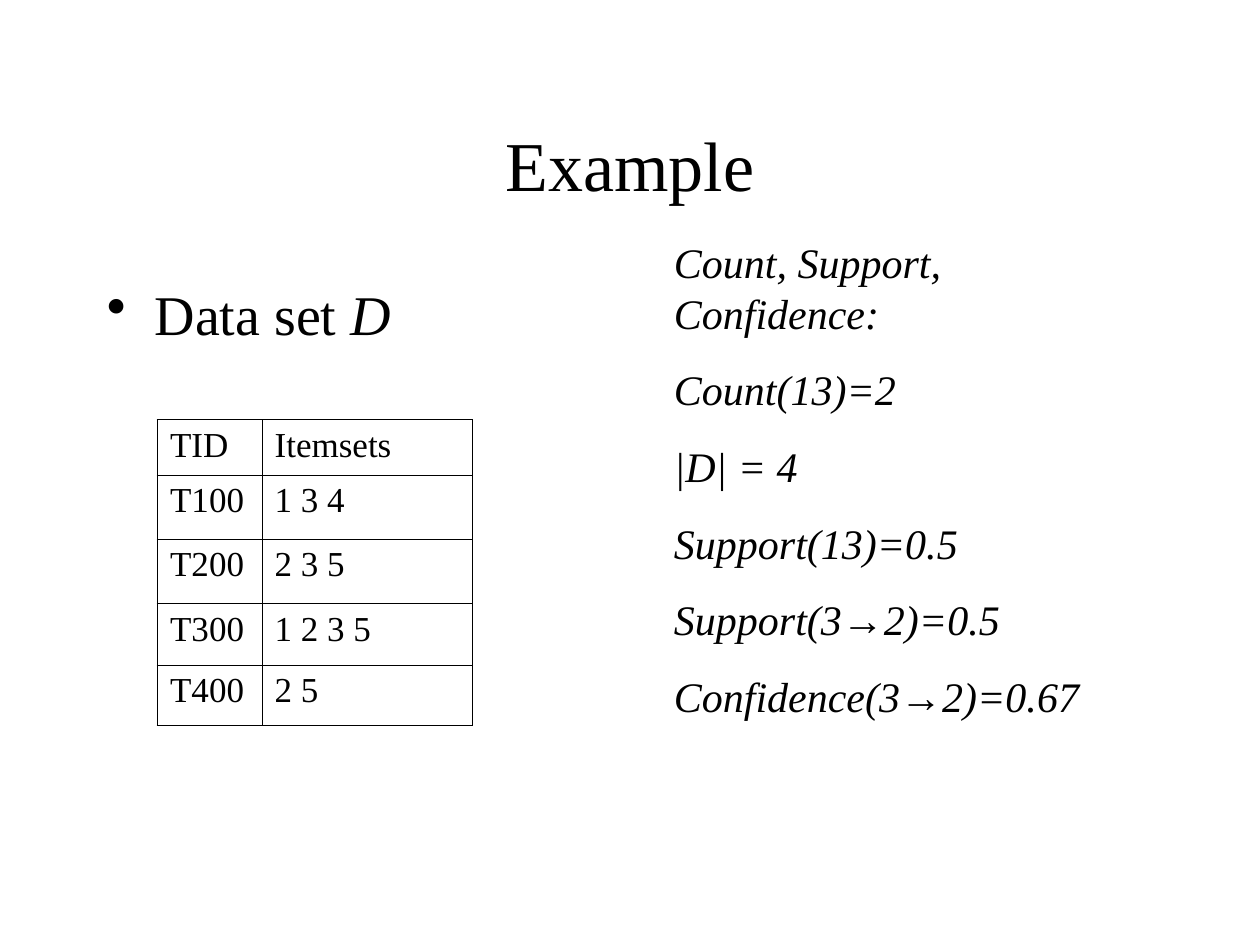
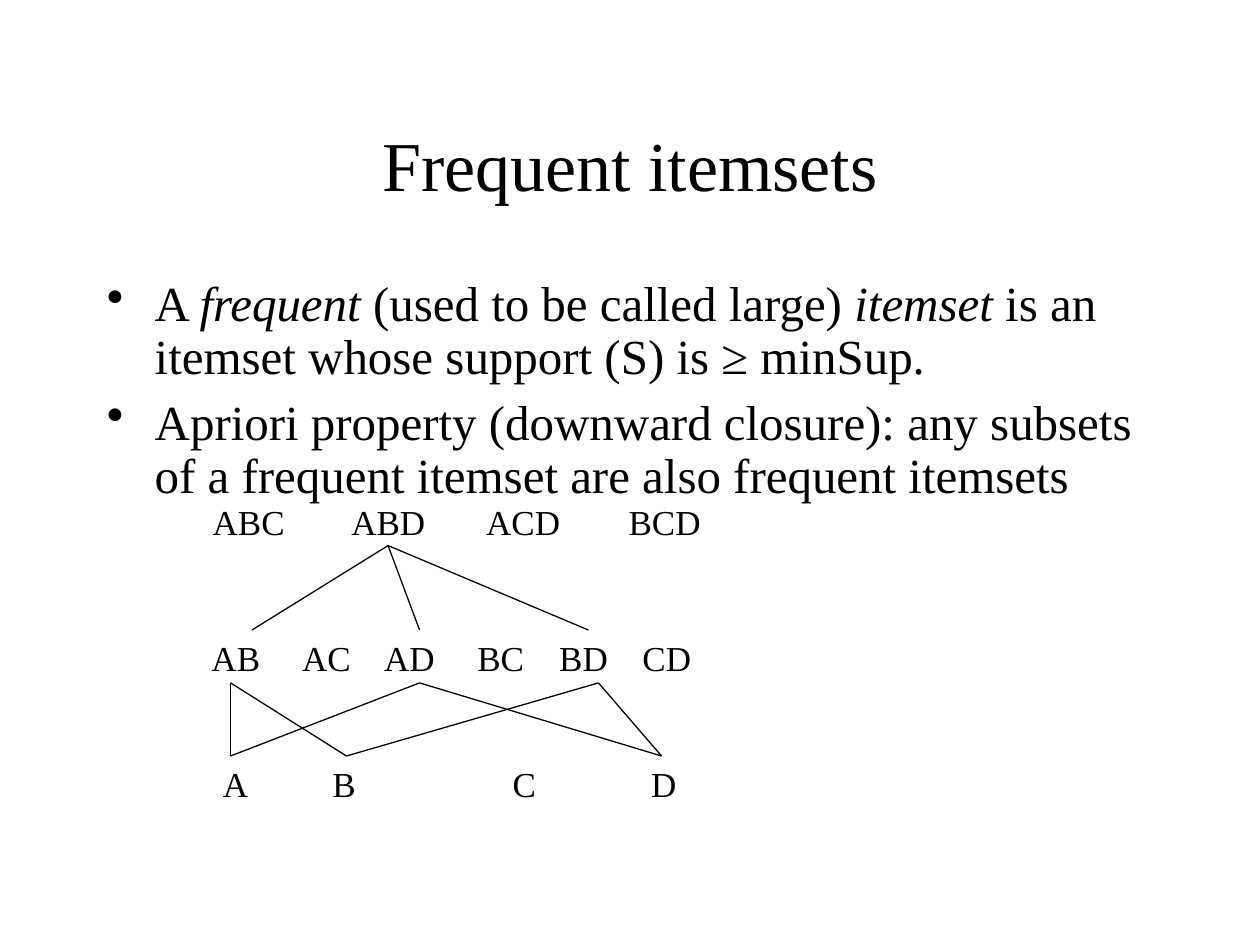
import pptx
import pptx.dml.color
import pptx.enum.shapes
import pptx.enum.text
import pptx.oxml
import pptx.oxml.ns
import pptx.util
from lxml import etree
from pptx.util import Inches, Pt

# Shared style
BLACK = "000000"
SERIF = "Times New Roman"
ARROW_FONT = "Arial"
TITLE_SIZE = 40
LABEL_SIZE = 20
DRAWING_NS = pptx.oxml.ns.nsdecls("a")


def color(hex_string):
    return pptx.dml.color.RGBColor.from_string(hex_string)


def add_text(slide, box, paragraphs, size, before=0, spacing=None,
             italic=False, bullet=False, tabs=()):
    """Add a text box; each paragraph is a list of (text, style) runs."""
    shape = slide.shapes.add_textbox(*map(Inches, box))
    frame = shape.text_frame
    frame.word_wrap = True
    for index, runs in enumerate(paragraphs):
        paragraph = frame.paragraphs[0] if index == 0 else frame.add_paragraph()
        properties = paragraph._p.get_or_add_pPr()
        if bullet:
            properties.set("marL", str(Inches(0.38)))
            properties.set("indent", str(Inches(-0.38)))
            properties.append(pptx.oxml.parse_xml(f'<a:buChar {DRAWING_NS} char="•"/>'))
        if tabs:
            stops = etree.SubElement(properties, pptx.oxml.ns.qn("a:tabLst"))
            for stop in tabs:
                etree.SubElement(stops, pptx.oxml.ns.qn("a:tab"),
                                 pos=str(Inches(stop)), algn="l")
        paragraph.space_before = Pt(before)
        paragraph.line_spacing = spacing
        paragraph.font.name = SERIF
        paragraph.font.size = Pt(size)
        paragraph.font.italic = italic
        paragraph.font.color.rgb = color(BLACK)
        for text, style in runs:
            run = paragraph.add_run()
            run.text = text
            if style == "italic":
                run.font.italic = True
            elif style == "arrow":
                run.font.name = ARROW_FONT


presentation = pptx.Presentation()
presentation.slide_width = Inches(10)
presentation.slide_height = Inches(7.5)

# Slides and titles
slides = []
for title_text in ("Example", "Frequent itemsets"):
    slide = presentation.slides.add_slide(presentation.slide_layouts[5])
    title = slide.shapes.title
    title.left, title.top = Inches(0.75), Inches(0.67)
    title.width, title.height = Inches(8.5), Inches(1.25)
    title.text_frame.text = title_text
    title.text_frame.vertical_anchor = pptx.enum.text.MSO_ANCHOR.MIDDLE
    paragraph = title.text_frame.paragraphs[0]
    paragraph.alignment = pptx.enum.text.PP_ALIGN.CENTER
    paragraph.font.name = SERIF
    paragraph.font.size = Pt(TITLE_SIZE)
    paragraph.font.color.rgb = color(BLACK)
    slides.append(slide)
example_slide, itemsets_slide = slides

# Example: data set heading and measures
add_text(example_slide, (0.75, 2.17, 8.5, 4.5),
         [[("Data set ", None), ("D", "italic")]], 32, before=8, bullet=True)
measures = [
    [("Count, Support, Confidence:", None)],
    [("Count(13)=2", None)],
    [("|D| = 4", None)],
    [("Support(13)=0.5", None)],
    [("Support(3", None), ("→", "arrow"), ("2)=0.5", None)],
    [("Confidence(3", None), ("→", "arrow"), ("2)=0.67", None)],
]
add_text(example_slide, (5.25, 1.83, 3.58, 3.94), measures, 24, before=15, italic=True)

# Example: transaction table
transactions = [("TID", "Itemsets"), ("T100", "1 3 4"), ("T200", "2 3 5"),
                ("T300", "1 2 3 5"), ("T400", "2 5")]
row_heights = (0.44, 0.51, 0.51, 0.49, 0.48)
table = example_slide.shapes.add_table(
    len(transactions), 2, Inches(1.25), Inches(3.33), Inches(2.5), Inches(2.43)).table
table.first_row = False
table.horz_banding = False
for column, width in zip(table.columns, (0.83, 1.67)):
    column.width = Inches(width)
for row_index, values in enumerate(transactions):
    table.rows[row_index].height = Inches(row_heights[row_index])
    for column_index, value in enumerate(values):
        cell = table.cell(row_index, column_index)
        cell.text = value
        paragraph = cell.text_frame.paragraphs[0]
        paragraph.space_before = Pt(5)
        paragraph.font.name = SERIF
        paragraph.font.size = Pt(LABEL_SIZE)
        paragraph.font.color.rgb = color(BLACK)
        # Thin rules inside and on top, heavier on the other outer edges
        heavy_sides = {"L": column_index == 0, "R": column_index == 1, "T": False,
                       "B": row_index == len(transactions) - 1}
        cell_properties = cell._tc.get_or_add_tcPr()
        for side, heavy in heavy_sides.items():
            width = Pt(1.08 if heavy else 0.45)
            cell_properties.append(pptx.oxml.parse_xml(
                f'<a:ln{side} {DRAWING_NS} w="{width}"><a:solidFill>'
                f'<a:srgbClr val="{BLACK}"/></a:solidFill></a:ln{side}>'))
        cell.fill.background()

# Frequent itemsets: definitions
definitions = [
    [("A ", None), ("frequent ", "italic"), ("(used to be called large) ", None),
     ("itemset", "italic"), (" is an itemset whose support (S) is ≥ minSup.", None)],
    [("Apriori property (downward closure): any subsets of a frequent itemset "
      "are also frequent itemsets", None)],
]
add_text(itemsets_slide, (0.75, 2.17, 8.5, 1.89), definitions, 28,
         before=7, spacing=0.9, bullet=True)

# Frequent itemsets: lattice levels, with labels set on tab stops
levels = [
    ((1.59, 3.92, 4.2, 0.44), "ABC ABD ACD BCD", (1.1, 2.17, 3.3)),
    ((1.58, 5, 4.42, 0.44), "AB AC AD BC BD CD", (0.72, 1.37, 2.11, 2.76, 3.42)),
    ((1.67, 6, 3.9, 0.44), "A B C D", (0.87, 2.3, 3.4)),
]
for box, labels, tabs in levels:
    add_text(itemsets_slide, box, [[("\t".join(labels.split()), None)]],
             LABEL_SIZE, tabs=tabs)

# Frequent itemsets: links from each itemset down to its subsets
links = [
    ((3.08, 4.33), 5, (2, 3.33, 4.67)),
    ((1.83, 5.42), 6, (1.83, 2.75)),
    ((3.33, 5.42), 6, (1.83, 5.25)),
    ((4.75, 5.42), 6, (2.75, 5.25)),
]
for (start_x, start_y), end_y, subset_positions in links:
    for end_x in subset_positions:
        connector = itemsets_slide.shapes.add_connector(
            pptx.enum.shapes.MSO_CONNECTOR.STRAIGHT,
            Inches(start_x), Inches(start_y), Inches(end_x), Inches(end_y))
        connector.line.color.rgb = color(BLACK)
        connector.line.width = Pt(0.75)
        etree.SubElement(connector._element.spPr, pptx.oxml.ns.qn("a:effectLst"))

presentation.save("out.pptx")
